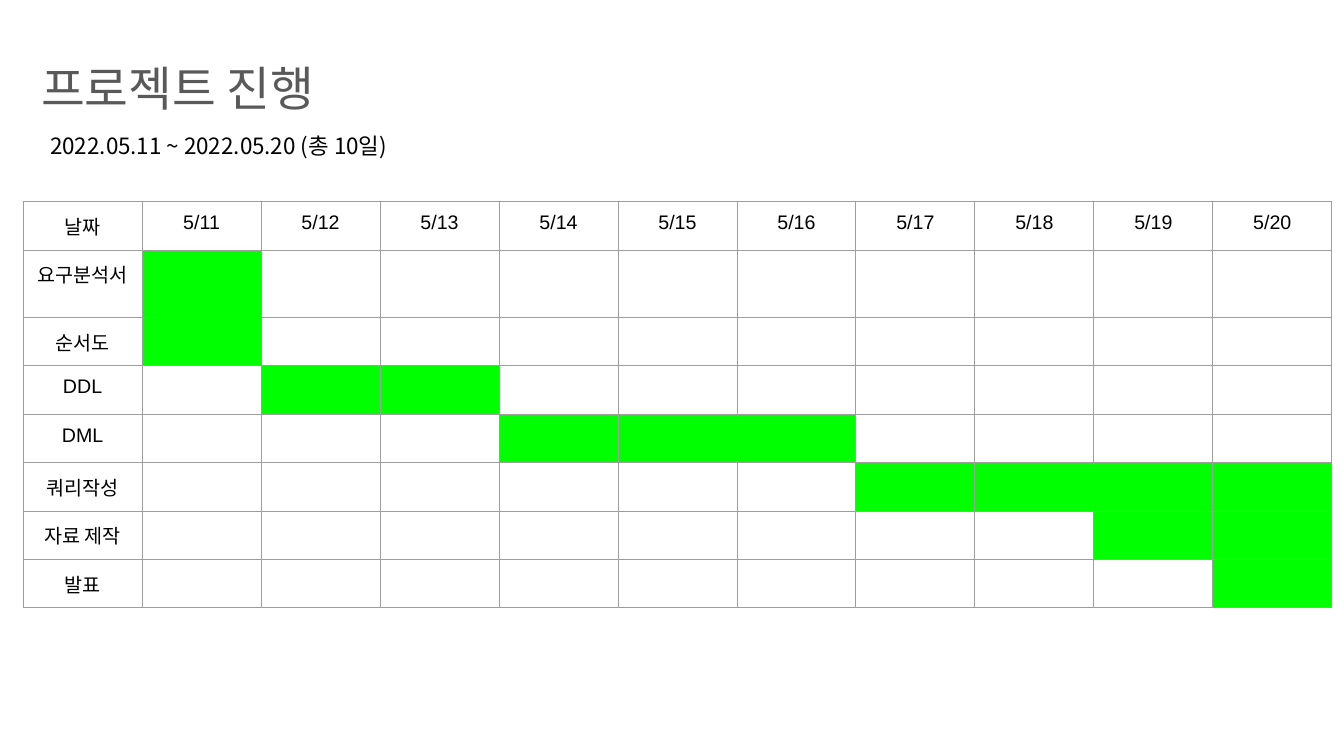
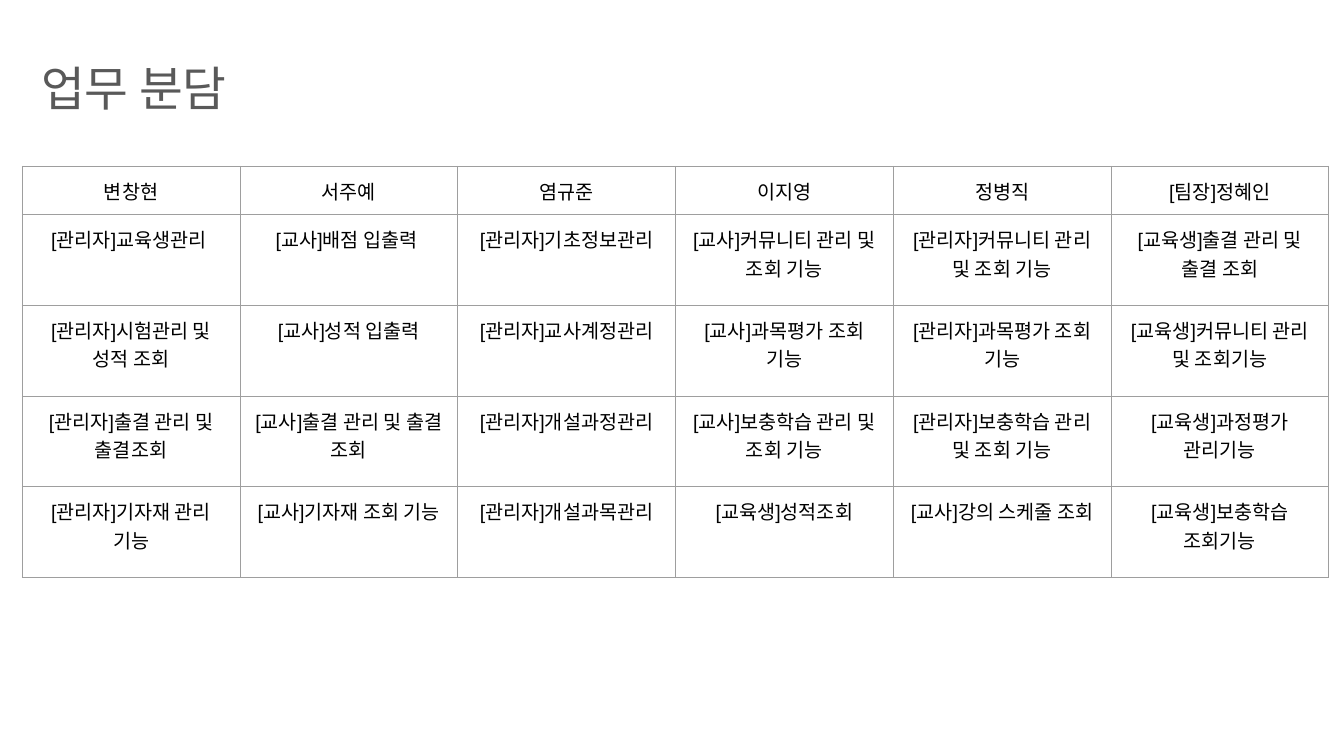
from lxml import etree
from pptx import Presentation
from pptx.dml.color import RGBColor
from pptx.enum import text
from pptx.oxml import ns
from pptx.util import Inches, Pt

COLORS = {
    "background": "FFFFFF",
    "title": "595959",
    "body": "000000",
    "border": "9E9E9E",
    "scheduled": "00FF00",
}
LATIN, KOREAN = "Arial", "Noto Sans CJK KR"


def rgb(name):
    return RGBColor.from_string(COLORS[name])


class Deck:
    """Holds the shared style and the slide being filled."""

    def __init__(self):
        self.prs = Presentation()
        self.prs.slide_width, self.prs.slide_height = Inches(13.33), Inches(7.5)
        self.slide = None

    def add_slide(self, title):
        self.slide = self.prs.slides.add_slide(self.prs.slide_layouts[6])
        heading = self.text_box(title, (0.31, 0.44, 10.3, 0.77), 34, "title",
                                inset=0.05)
        heading.vertical_anchor = text.MSO_ANCHOR.BOTTOM
        heading.paragraphs[0].line_spacing = 0.9

    def add_run(self, paragraph, content, size, color="body", font=LATIN):
        run = paragraph.add_run()
        run.text = content
        run.font.size, run.font.name, run.font.bold = Pt(size), font, False
        run.font.color.rgb = rgb(color)
        east_asian = etree.SubElement(run.font._element, ns.qn("a:ea"))
        east_asian.set("typeface", KOREAN)

    def text_box(self, content, box, size, color="body", font=LATIN, inset=0.1):
        frame = self.slide.shapes.add_textbox(*map(Inches, box)).text_frame
        frame.word_wrap = True
        frame.margin_left = frame.margin_right = Inches(0.1)
        frame.margin_top = frame.margin_bottom = Inches(inset)
        self.add_run(frame.paragraphs[0], content, size, color, font)
        return frame

    def add_borders(self, cell):
        properties = cell._tc.get_or_add_tcPr()
        for side in ("lnL", "lnR", "lnT", "lnB"):
            line = etree.SubElement(properties, ns.qn(f"a:{side}"), w=str(Pt(0.75)))
            fill = etree.SubElement(line, ns.qn("a:solidFill"))
            etree.SubElement(fill, ns.qn("a:srgbClr"), val=COLORS["border"])

    def fill_cell(self, cell, content, color):
        self.add_borders(cell)
        cell.fill.solid()
        cell.fill.fore_color.rgb = rgb(color)
        if content:
            cell.margin_left = cell.margin_right = Inches(0.1)
            cell.margin_top = cell.margin_bottom = Inches(0.1)
            paragraph = cell.text_frame.paragraphs[0]
            paragraph.alignment = text.PP_ALIGN.CENTER
            self.add_run(paragraph, content, 14)

    def table(self, rows, left, top, column_width, row_heights, marked=()):
        """Draw rows of text; cells whose (row, column) is in marked are green."""
        columns = len(rows[0])
        grid = self.slide.shapes.add_table(
            len(rows), columns, Inches(left), Inches(top),
            Inches(column_width * columns), Inches(sum(row_heights))).table
        grid.first_row = grid.horz_banding = False
        for column in grid.columns:
            column.width = Inches(column_width)
        for r, (contents, height) in enumerate(zip(rows, row_heights)):
            grid.rows[r].height = Inches(height)
            for c, content in enumerate(contents):
                color = "scheduled" if (r, c) in marked else "background"
                self.fill_cell(grid.cell(r, c), content, color)


def schedule_slide(deck):
    first_day, last_day = 11, 20
    tasks = [  # name, first and last day in May
        ("요구분석서", 11, 11),
        ("순서도", 11, 11),
        ("DDL", 12, 13),
        ("DML", 14, 16),
        ("쿼리작성", 17, 20),
        ("자료 제작", 19, 20),
        ("발표", 20, 20),
    ]
    days = range(first_day, last_day + 1)
    rows = [["날짜"] + [f"5/{day}" for day in days]]
    rows += [[name] + [""] * len(days) for name, _, _ in tasks]
    scheduled = {(r, day - first_day + 1)
                 for r, (_, start, end) in enumerate(tasks, 1)
                 for day in range(start, end + 1)}
    deck.add_slide("프로젝트 진행")
    deck.table(rows, 0.23, 2, 1.18, [0.48, 0.67] + [0.48] * 6, scheduled)
    deck.text_box("2022.05.11 ~ 2022.05.20 (총 10일)", (0.4, 1.21, 3.8, 0.47),
                  16, font=KOREAN)


def assignment_slide(deck):
    rows = [
        ["변창현", "서주예", "염규준", "이지영", "정병직", "[팀장]정혜인"],
        ["[관리자]교육생관리 ", "[교사]배점 입출력 ", "[관리자]기초정보관리",
         "[교사]커뮤니티 관리 및 조회 기능", "[관리자]커뮤니티 관리 및 조회 기능",
         "[교육생]출결 관리 및 출결 조회"],
        ["[관리자]시험관리 및 성적 조회", "[교사]성적 입출력", "[관리자]교사계정관리",
         "[교사]과목평가 조회 기능", "[관리자]과목평가 조회 기능",
         "[교육생]커뮤니티 관리 및 조회기능"],
        ["[관리자]출결 관리 및 출결조회", "[교사]출결 관리 및 출결 조회",
         "[관리자]개설과정관리", "[교사]보충학습 관리 및 조회 기능",
         "[관리자]보충학습 관리 및 조회 기능", "[교육생]과정평가 관리기능"],
        ["[관리자]기자재 관리 기능", "[교사]기자재 조회 기능", "[관리자]개설과목관리",
         "[교육생]성적조회", "[교사]강의 스케줄 조회", "[교육생]보충학습 조회기능"],
    ]
    deck.add_slide("업무 분담")
    deck.table(rows, 0.22, 1.65, 2.16, [0.48] + [0.9] * 4)


def main():
    deck = Deck()
    schedule_slide(deck)
    assignment_slide(deck)
    deck.prs.save("out.pptx")


if __name__ == "__main__":
    main()
